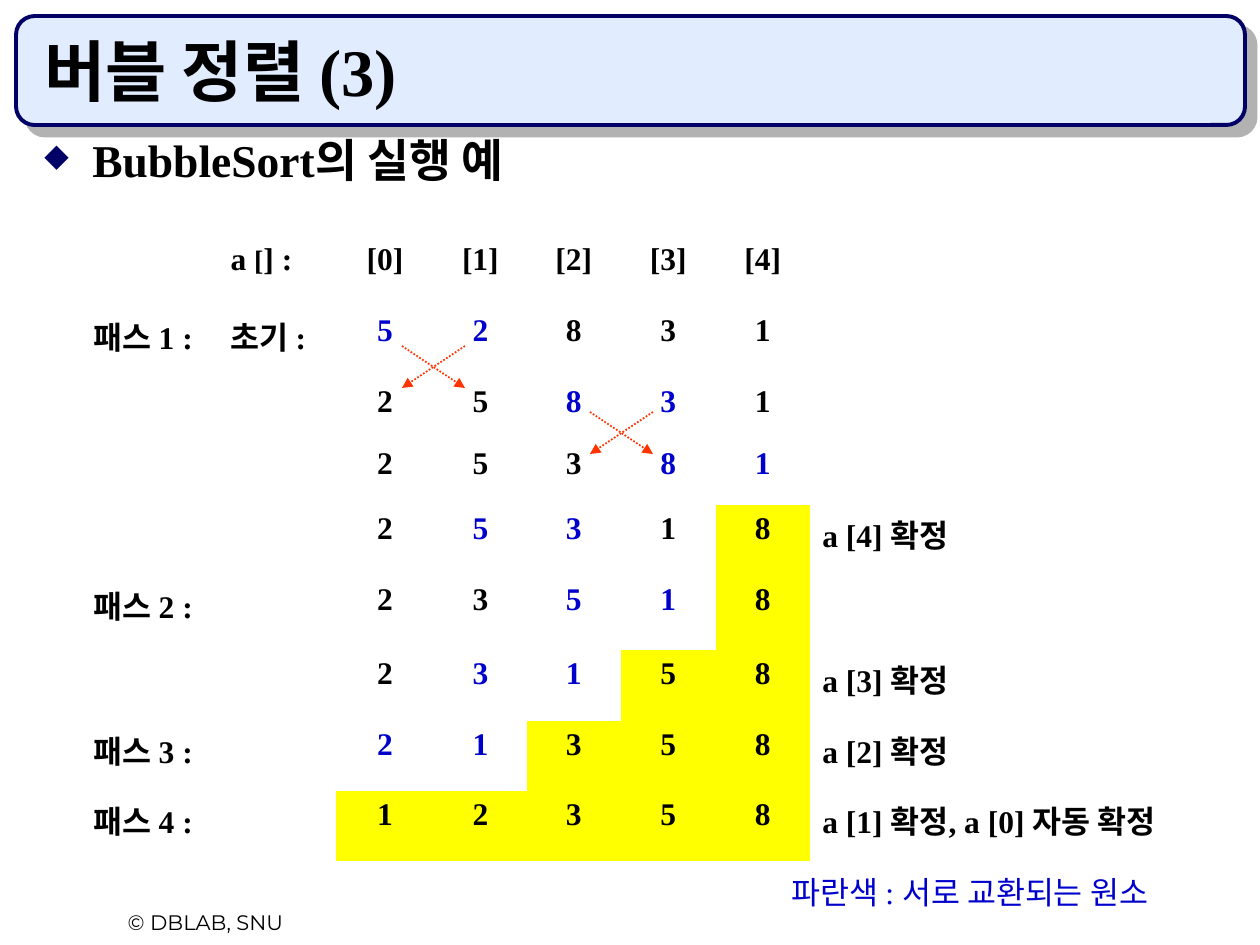
from lxml.etree import SubElement
from pptx import Presentation
from pptx.dml.color import RGBColor
from pptx.enum.dml import MSO_LINE
from pptx.enum.shapes import MSO_CONNECTOR, MSO_SHAPE
from pptx.enum.text import MSO_ANCHOR, PP_ALIGN
from pptx.oxml import parse_xml
from pptx.oxml.ns import nsdecls, qn
from pptx.util import Pt

PX = 914400 / 126
BLACK = RGBColor(0x00, 0x00, 0x00)
NAVY = RGBColor(0x00, 0x00, 0x66)
BLUE = RGBColor(0x00, 0x00, 0xCC)
PALE_BLUE = RGBColor(0xE1, 0xEC, 0xFF)
YELLOW = RGBColor(0xFF, 0xFF, 0x00)
ORANGE = RGBColor(0xFF, 0x33, 0x00)
SERIF = "Times New Roman"
NO_STYLE_NO_GRID = "{2D5ABB26-0587-4C30-8999-92F81FD0307C}"


def px(*lengths):
    return [round(length * PX) for length in lengths]


def write(frame, text, size, color=BLACK, bold=True, name=SERIF, align=PP_ALIGN.LEFT):
    """Fill the first paragraph of a text frame and return it."""
    frame.word_wrap = True
    para = frame.paragraphs[0]
    para.text = text
    para.alignment = align
    para.font.size = Pt(size)
    para.font.bold = bold
    para.font.name = name
    para.font.color.rgb = color
    return para


deck = Presentation()
deck.slide_width, deck.slide_height = px(1260, 945)
page = deck.slides.add_slide(deck.slide_layouts[6])
shapes = page.shapes

# Title banner
banner = shapes.add_shape(MSO_SHAPE.ROUNDED_RECTANGLE, *px(16, 16, 1229, 109))
banner.adjustments[0] = 0.17
banner.fill.solid()
banner.fill.fore_color.rgb = PALE_BLUE
banner.line.color.rgb = NAVY
banner.line.width = Pt(2.25)
banner.shadow.inherit = False
shadow = parse_xml(
    f'<a:outerShdw {nsdecls("a")} dist="{Pt(8.5)}" dir="2700000" algn="ctr" rotWithShape="0">'
    '<a:srgbClr val="B2B2B2"/></a:outerShdw>'
)
banner._element.spPr.find(qn("a:effectLst")).append(shadow)

footer = shapes.add_textbox(*px(53, 903, 305, 38))
write(footer.text_frame, "© DBLAB, SNU", 12, bold=False, name="Montserrat", align=PP_ALIGN.CENTER)

title = shapes.add_textbox(*px(32, 32, 1187, 84))
title.text_frame.vertical_anchor = MSO_ANCHOR.BOTTOM
write(title.text_frame, "버블 정렬 (3)", 38)

# Heading with a diamond bullet
heading = shapes.add_textbox(*px(32, 136, 1187, 735))
para = heading.text_frame.paragraphs[0]
para.line_spacing = 0.8
properties = para._p.get_or_add_pPr()
indent = px(48)[0]
properties.set("marL", str(indent))
properties.set("indent", str(-indent))
bullet_color = SubElement(properties, qn("a:buClr"))
SubElement(bullet_color, qn("a:srgbClr"), val=str(NAVY))
SubElement(properties, qn("a:buSzPct"), val="70000")
SubElement(properties, qn("a:buChar"), char="◆")
write(heading.text_frame, "BubbleSort의 실행 예", 26)

# Sorting trace: pass, stage, array values, left index of the swapped pair,
# number of settled values, remark
trace = [
    ("", "", ["[0]", "[1]", "[2]", "[3]", "[4]"], None, 0, ""),
    ("패스 1 :", "초기 :", "52831", 0, 0, ""),
    ("", "", "25831", 2, 0, ""),
    ("", "", "25381", 3, 0, ""),
    ("", "", "25318", 1, 1, "a [4] 확정"),
    ("패스 2 :", "", "23518", 2, 1, ""),
    ("", "", "23158", 1, 2, "a [3] 확정"),
    ("패스 3 :", "", "21358", 0, 3, "a [2] 확정"),
    ("패스 4 :", "", "12358", None, 5, "a [1] 확정, a [0] 자동 확정"),
]
column_widths = px(137, 118, 98, 93, 94, 95, 94, 390)
row_heights = px(71, 71, 62, 65, 71, 74, 71, 70, 70)
frame = shapes.add_table(len(trace), len(column_widths), *px(81, 236, 1119, 625))
table = frame.table
table.first_row = table.horz_banding = False
table._tbl.tblPr.find(qn("a:tableStyleId")).text = NO_STYLE_NO_GRID
for column, width in zip(table.columns, column_widths):
    column.width = width
for row, height in zip(table.rows, row_heights):
    row.height = height

for row, (stage, state, values, swap, settled, remark) in zip(table.rows, trace):
    for index, text in enumerate([stage, state, *values, remark]):
        cell = row.cells[index]
        position = index - 2
        is_value = 0 <= position < 5
        if is_value and position >= 5 - settled:
            cell.fill.solid()
            cell.fill.fore_color.rgb = YELLOW
        else:
            cell.fill.background()
        if text:
            swapped = is_value and swap is not None and position in (swap, swap + 1)
            write(cell.text_frame, text, 18, BLUE if swapped else BLACK,
                  align=PP_ALIGN.CENTER if is_value else PP_ALIGN.LEFT)

array_label = write(table.cell(0, 1).text_frame, "a ", 18)
for text, size in (("[", 16), ("] :", 18)):
    span = array_label.add_run()
    span.text = text
    span.font.size = Pt(size)

legend = shapes.add_textbox(*px(779, 867, 420, 50))
write(legend.text_frame, "파란색 : 서로 교환되는 원소", 18, BLUE, bold=False)

# Crossing arrows between swapped values
for left, top in ((402, 346), (590, 412)):
    right, bottom = left + 63, top + 42
    for start, end in ((right, left), (left, right)):
        arrow = shapes.add_connector(MSO_CONNECTOR.STRAIGHT, *px(start, top, end, bottom))
        arrow.line.color.rgb = ORANGE
        arrow.line.width = Pt(1)
        arrow.line.dash_style = MSO_LINE.ROUND_DOT
        SubElement(arrow.line._get_or_add_ln(), qn("a:tailEnd"), type="triangle")
        SubElement(arrow._element.spPr, qn("a:effectLst"))

deck.save("out.pptx")
